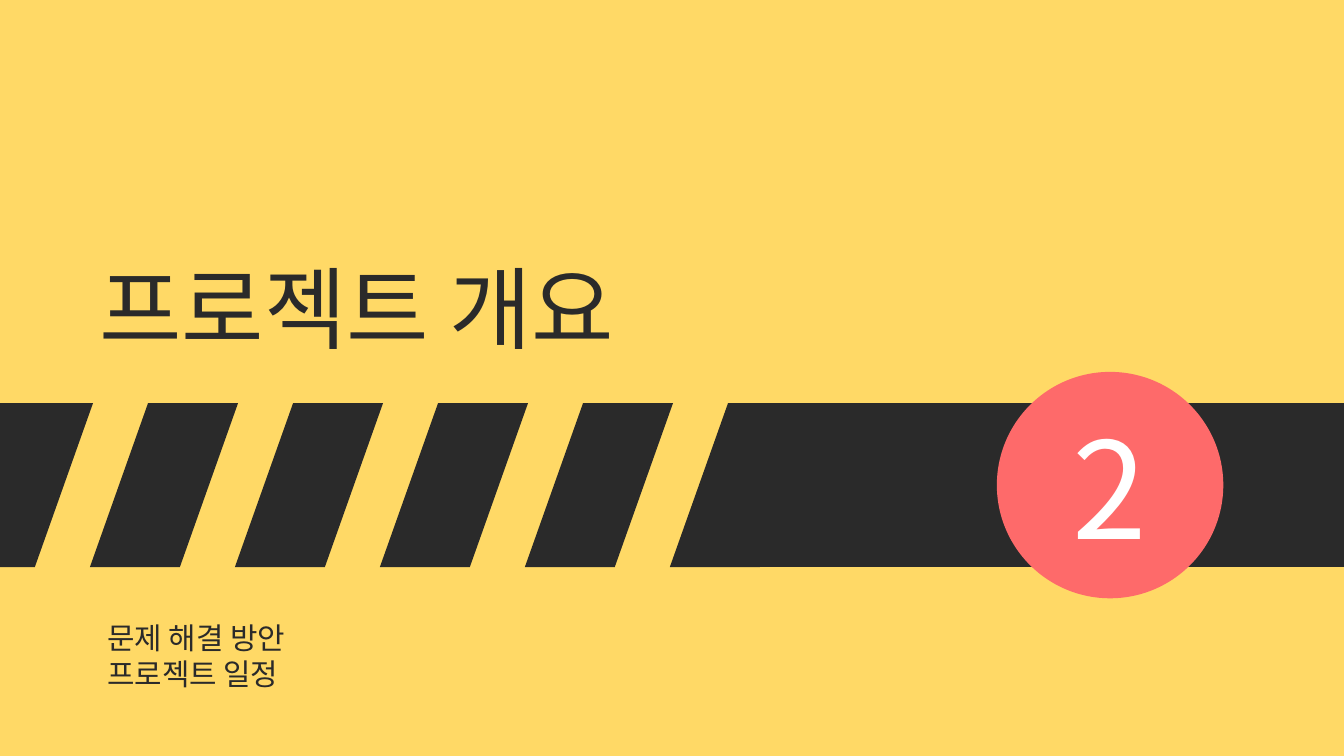
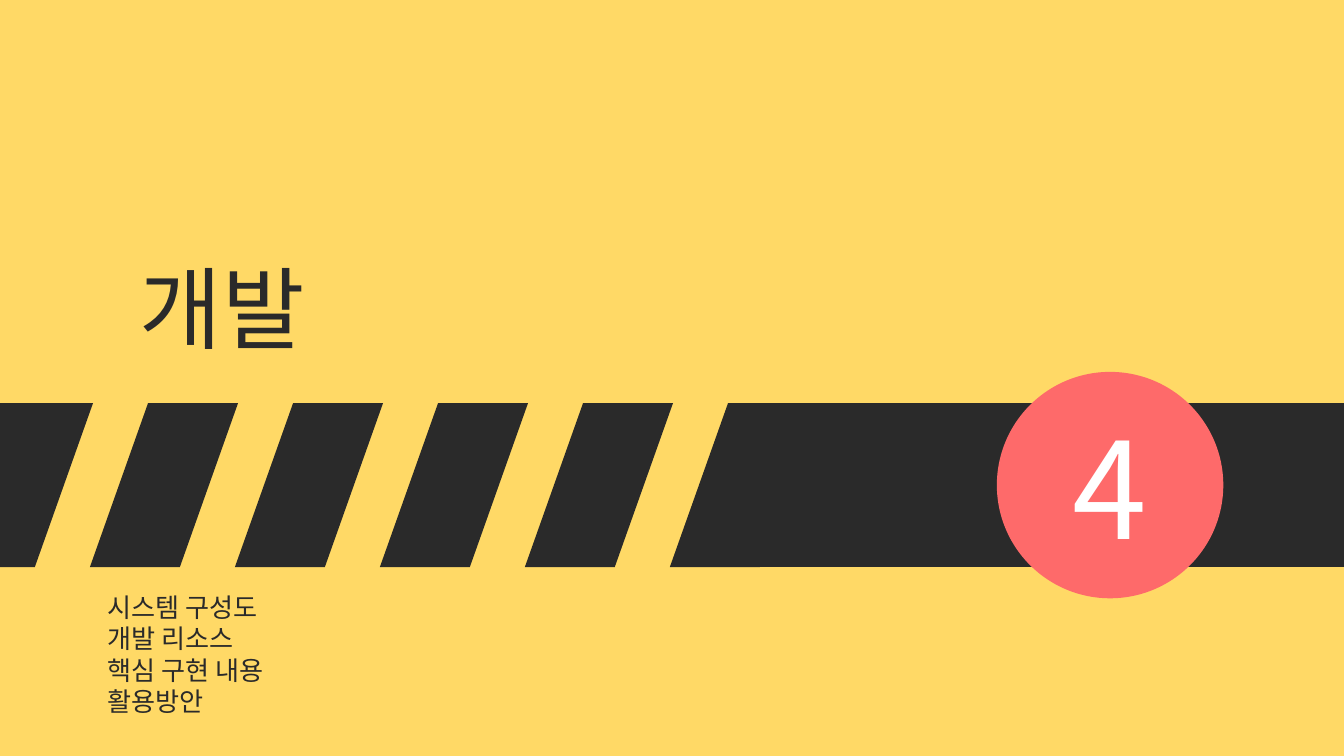
"""Build two section-divider slides with a hazard-stripe band and a numbered disc."""
from lxml.etree import SubElement
from pptx import Presentation
from pptx.dml.color import RGBColor
from pptx.enum.shapes import MSO_SHAPE as Shape
from pptx.enum.text import MSO_ANCHOR as Anchor, MSO_AUTO_SIZE as AutoSize, PP_ALIGN as Align
from pptx.oxml.ns import qn
from pptx.util import Cm, Pt

YELLOW = RGBColor(0xFF, 0xD9, 0x66)
DARK = RGBColor(0x2A, 0x2A, 0x2A)
CORAL = RGBColor(0xFE, 0x6A, 0x6A)
WHITE = RGBColor(0xFF, 0xFF, 0xFF)
FONT = "Noto Sans CJK KR"

BAND_TOP, BAND_BOTTOM = 7.62, 10.72
STRIPE_LEFT, STRIPE_WIDTH, STRIPE_PITCH, LEAN = 1.7, 1.7, 2.74, 1.1
PAGE_WIDTH, PAGE_HEIGHT = 25.4, 14.29

SECTIONS = [
    ("2", "프로젝트 개요", 1.63, 16, 11.66, ["문제 해결 방안", "프로젝트 일정"]),
    ("4", "개발", 2.39, 14, 11.63,
     ["시스템 구성도", "개발 리소스", "핵심 구현 내용", "활용방안"]),
]

# (top left, top right, bottom right, bottom left) of each dark piece of the band
pieces = [(0, STRIPE_LEFT + LEAN + STRIPE_WIDTH - STRIPE_PITCH,
           STRIPE_LEFT + STRIPE_WIDTH - STRIPE_PITCH, 0)]
for number in range(4):
    left = STRIPE_LEFT + number * STRIPE_PITCH
    pieces.append((left + LEAN, left + LEAN + STRIPE_WIDTH, left + STRIPE_WIDTH, left))
left = STRIPE_LEFT + 4 * STRIPE_PITCH
pieces.append((left + LEAN, 14.36, 14.36, left))
pieces.append((14, PAGE_WIDTH, PAGE_WIDTH, 14))


def paint(shape, color):
    shape.shadow.inherit = False
    shape.fill.solid()
    shape.fill.fore_color.rgb = color
    shape.line.fill.background()


def write(box, lines, size, color, anchor, align):
    frame = box.text_frame
    frame.word_wrap = True
    frame.auto_size = AutoSize.NONE
    frame.vertical_anchor = anchor
    frame.margin_left = frame.margin_right = Cm(0.25)
    frame.margin_top = frame.margin_bottom = Cm(0.25)
    for index, line in enumerate(lines):
        para = frame.add_paragraph() if index else frame.paragraphs[0]
        para.alignment = align
        if len(lines) > 1:
            para.line_spacing = Pt(size * 1.2)
        span = para.add_run()
        span.text = line
        span.font.size = Pt(size)
        span.font.color.rgb = color
        span.font.name = FONT
        SubElement(span.font._element, qn("a:ea"), typeface=FONT)


deck = Presentation()
deck.slide_width, deck.slide_height = Cm(PAGE_WIDTH), Cm(PAGE_HEIGHT)

for section, heading, heading_left, topic_size, topic_top, topics in SECTIONS:
    page = deck.slides.add_slide(deck.slide_layouts[5])
    page.background.fill.solid()
    page.background.fill.fore_color.rgb = YELLOW

    band = page.shapes.add_group_shape()
    for top_left, top_right, bottom_right, bottom_left in pieces:
        outline = band.shapes.build_freeform(Cm(top_left), Cm(BAND_TOP))
        outline.add_line_segments([
            (Cm(top_right), Cm(BAND_TOP)),
            (Cm(bottom_right), Cm(BAND_BOTTOM)),
            (Cm(bottom_left), Cm(BAND_BOTTOM)),
        ])
        paint(outline.convert_to_shape(), DARK)

    title = page.shapes.title
    title.left, title.top = Cm(heading_left), Cm(4.11)
    title.width, title.height = Cm(18.26), Cm(2.95)
    write(title, [heading], 48, DARK, Anchor.BOTTOM, Align.LEFT)

    topic_box = page.shapes.add_textbox(Cm(1.78), Cm(topic_top), Cm(7.95), Cm(1.47))
    write(topic_box, topics, topic_size, DARK, Anchor.MIDDLE, Align.LEFT)

    disc = page.shapes.add_shape(Shape.OVAL, Cm(18.84), Cm(7.03), Cm(4.28), Cm(4.28))
    paint(disc, CORAL)
    number_box = page.shapes.add_textbox(Cm(19.36), Cm(8.18), Cm(3.23), Cm(2.01))
    write(number_box, [section], 72, WHITE, Anchor.MIDDLE, Align.CENTER)

deck.save("out.pptx")
